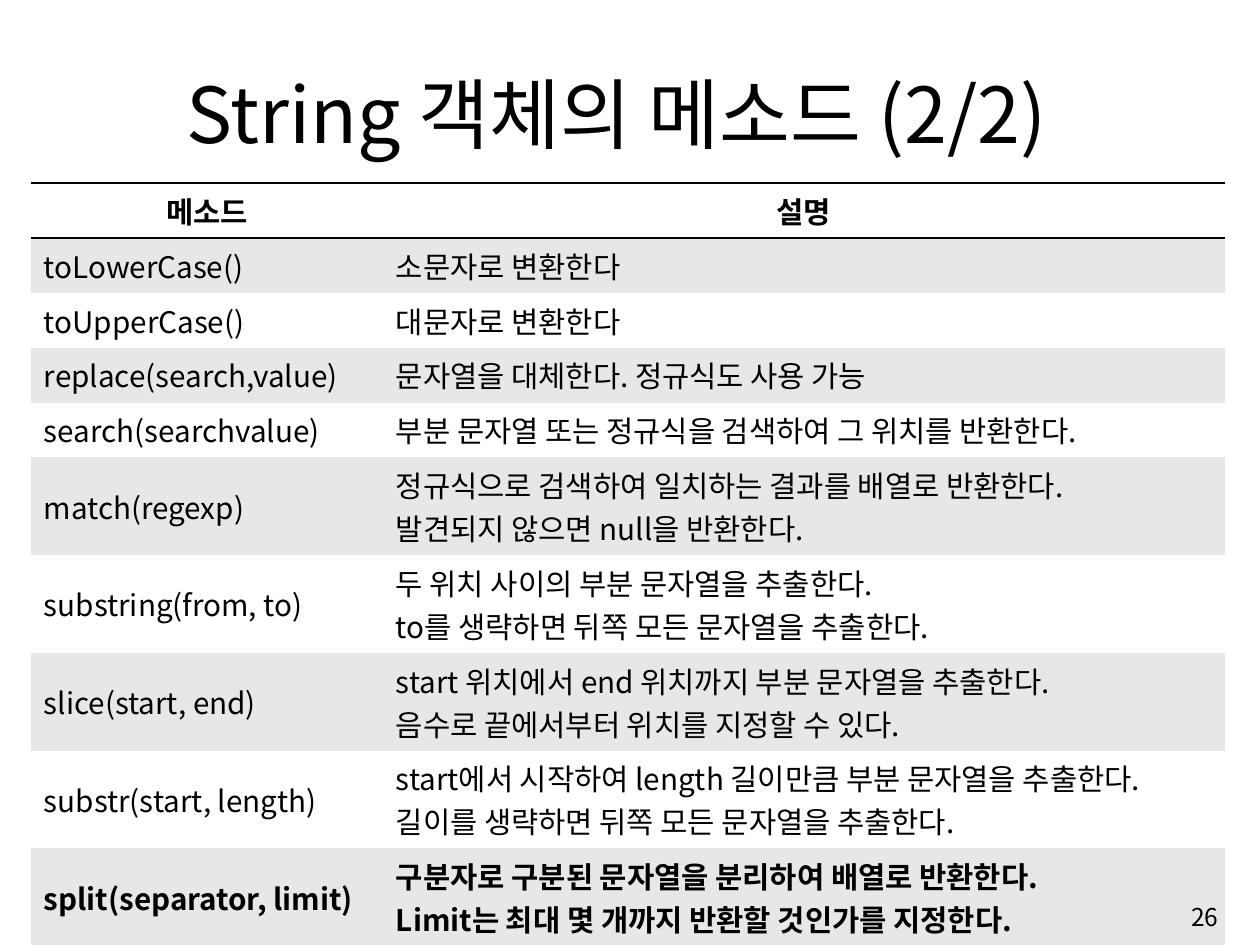
import pptx
import pptx.dml.color
import pptx.enum.text
import pptx.oxml
import pptx.oxml.ns
import pptx.util

PX = 914400 // 97
FONT = "Noto Sans CJK KR"
BLACK, WHITE, GREY = "000000", "FFFFFF", "E7E7E7"
NO_STYLE = "{2D5ABB26-0587-4C30-8999-92F81FD0307C}"
ALIGN = pptx.enum.text.PP_ALIGN
ANCHOR = pptx.enum.text.MSO_ANCHOR

TITLE = "String 객체의 메소드 (2/2)"
PAGE_NUMBER = "26"
METHODS = [
    ("메소드", "설명"),
    ("toLowerCase()", "소문자로 변환한다"),
    ("toUpperCase()", "대문자로 변환한다"),
    ("replace(search,value)", "문자열을 대체한다. 정규식도 사용 가능"),
    ("search(searchvalue)", "부분 문자열 또는 정규식을 검색하여 그 위치를 반환한다."),
    ("match(regexp)", "정규식으로 검색하여 일치하는 결과를 배열로 반환한다.\n"
                      "발견되지 않으면 null을 반환한다."),
    ("substring(from, to)", "두 위치 사이의 부분 문자열을 추출한다.\n"
                            "to를 생략하면 뒤쪽 모든 문자열을 추출한다."),
    ("slice(start, end)", "start 위치에서 end 위치까지 부분 문자열을 추출한다.\n"
                          "음수로 끝에서부터 위치를 지정할 수 있다."),
    ("substr(start, length)", "start에서 시작하여 length 길이만큼 부분 문자열을 추출한다. "
                              "길이를 생략하면 뒤쪽 모든 문자열을 추출한다."),
    ("split(separator, limit)", "구분자로 구분된 문자열을 분리하여 배열로 반환한다.\n"
                                "Limit는 최대 몇 개까지 반환할 것인가를 지정한다."),
]
COLUMN_WIDTHS = (352, 842)
SHORT_ROW, TALL_ROW = 50, 88
SHORT_ROW_COUNT = 5
TABLE_LEFT, TABLE_TOP = 31, 183


def px(*lengths):
    return [pptx.util.Emu(length * PX) for length in lengths]


def color(hex_string):
    return pptx.dml.color.RGBColor.from_string(hex_string)


def format_text(frame, size, align, bold=False):
    for para in frame.paragraphs:
        para.alignment = align
        for span in para.runs:
            span.font.size = pptx.util.Pt(size)
            span.font.bold = bold
            span.font.name = FONT
            span.font.color.rgb = color(BLACK)
            east_asian = pptx.oxml.parse_xml(
                f'<a:ea {pptx.oxml.ns.nsdecls("a")} typeface="{FONT}"/>')
            span.font._element.find(pptx.oxml.ns.qn("a:latin")).addnext(east_asian)


def add_borders(cell, sides):
    """Draw 2 pt lines on the given sides, listed in schema order (T, B)."""
    properties = cell._tc.get_or_add_tcPr()
    for index, side in enumerate(sides):
        properties.insert(index, pptx.oxml.parse_xml(
            f'<a:ln{side} {pptx.oxml.ns.nsdecls("a")} w="25400"><a:solidFill>'
            f'<a:srgbClr val="{BLACK}"/></a:solidFill></a:ln{side}>'))


def add_method_table(page):
    last = len(METHODS) - 1
    heights = [SHORT_ROW if row < SHORT_ROW_COUNT else TALL_ROW for row in range(last + 1)]
    table = page.shapes.add_table(
        len(METHODS), len(COLUMN_WIDTHS),
        *px(TABLE_LEFT, TABLE_TOP, sum(COLUMN_WIDTHS), sum(heights))).table
    table.first_row = table.horz_banding = False
    table._tbl.tblPr.find(pptx.oxml.ns.qn("a:tableStyleId")).text = NO_STYLE
    for column, width in zip(table.columns, px(*COLUMN_WIDTHS)):
        column.width = width
    for row, height in zip(table.rows, px(*heights)):
        row.height = height

    for row, texts in enumerate(METHODS):
        for column, text in enumerate(texts):
            cell = table.cell(row, column)
            cell.text_frame.text = text
            cell.vertical_anchor = ANCHOR.MIDDLE
            cell.margin_left, cell.margin_top, cell.margin_right, cell.margin_bottom = px(13, 6, 13, 6)
            cell.fill.solid()
            cell.fill.fore_color.rgb = color(GREY if row % 2 else WHITE)
            format_text(cell.text_frame, 22, ALIGN.LEFT if row else ALIGN.CENTER,
                        bold=row in (0, last))
            add_borders(cell, {0: "TB", last: "B"}.get(row, ""))


def main():
    deck = pptx.Presentation()
    deck.slide_width, deck.slide_height = px(1260, 945)
    page = deck.slides.add_slide(deck.slide_layouts[5])

    title = page.shapes.title
    title.left, title.top, title.width, title.height = px(102, 59, 1029, 105)
    title.text_frame.text = TITLE
    title.text_frame.auto_size = pptx.enum.text.MSO_AUTO_SIZE.NONE
    title.text_frame.vertical_anchor = ANCHOR.BOTTOM
    format_text(title.text_frame, 57.2, ALIGN.CENTER)

    add_method_table(page)

    number = page.shapes.add_textbox(*px(968, 888, 260, 58))
    number.text_frame.text = PAGE_NUMBER
    number.text_frame.word_wrap = True
    number.text_frame.vertical_anchor = ANCHOR.MIDDLE
    format_text(number.text_frame, 18.2, ALIGN.RIGHT)

    deck.save("out.pptx")


if __name__ == "__main__":
    main()
